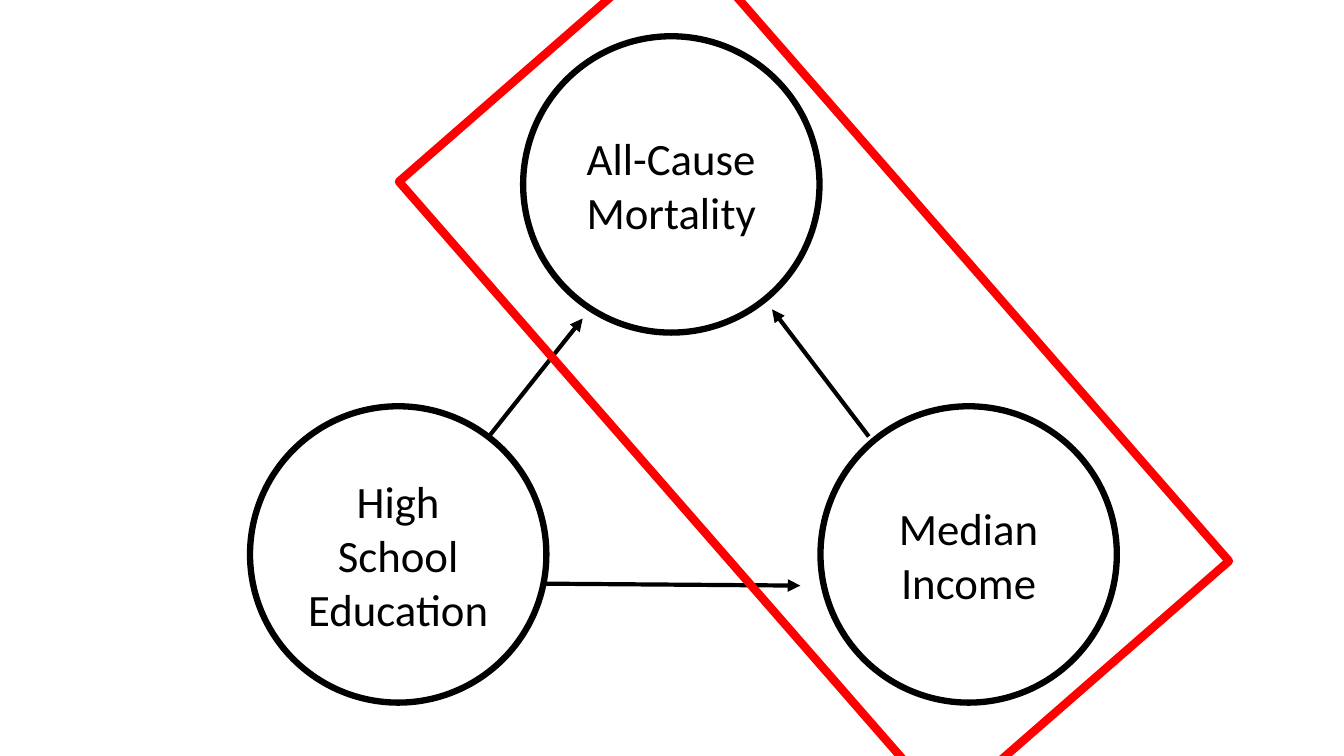
import pptx
import pptx.util
import pptx.dml.color
import pptx.enum.shapes
import pptx.enum.text
import pptx.oxml
import pptx.oxml.ns
from lxml import etree

Pt = pptx.util.Pt
BLACK = pptx.dml.color.RGBColor(0, 0, 0)
RED = pptx.dml.color.RGBColor(255, 0, 0)
KIND = pptx.enum.shapes.MSO_SHAPE
SIZE = 211.7
LOW = 290.2


def write(shape, text, size=32, font="Calibri", color=BLACK):
    frame = shape.text_frame
    frame.word_wrap = True
    frame.vertical_anchor = pptx.enum.text.MSO_ANCHOR.MIDDLE
    par = frame.paragraphs[0]
    par.alignment = pptx.enum.text.PP_ALIGN.CENTER
    run = par.add_run()
    run.text = text
    run.font.size = Pt(size)
    run.font.name = font
    run.font.color.rgb = color


class Sketch:
    """Draws outlined shapes, labels and arrows on one slide."""

    def __init__(self, slide):
        self.shapes = slide.shapes
        self.ring = 4.5
        self.stem = 3
        self.edge = 6

    def outline(self, kind, box, color, width):
        shape = self.shapes.add_shape(kind, *map(Pt, box))
        shape.shadow.inherit = False
        shape.fill.background()
        shape.line.color.rgb = color
        shape.line.width = Pt(width)
        return shape

    def circle(self, text, left, top):
        box = (left, top, SIZE, SIZE)
        write(self.outline(KIND.OVAL, box, BLACK, self.ring), text)

    def arrow(self, *ends):
        straight = pptx.enum.shapes.MSO_CONNECTOR.STRAIGHT
        link = self.shapes.add_connector(straight, *map(Pt, ends))
        link.line.color.rgb = BLACK
        link.line.width = Pt(self.stem)
        qn = pptx.oxml.ns.qn
        props = link.line._get_or_add_ln()
        etree.SubElement(props, qn("a:tailEnd"), type="triangle")
        etree.SubElement(link._element.spPr, qn("a:effectLst"))

    def frame(self, box, angle):
        shape = self.outline(KIND.RECTANGLE, box, RED, self.edge)
        shape.rotation = angle


def main():
    deck = pptx.Presentation()
    deck.slide_width, deck.slide_height = Pt(960), Pt(540)
    art = Sketch(deck.slides.add_slide(deck.slide_layouts[6]))
    art.circle("All-Cause Mortality", 373.7, 25.9)
    art.circle("Median Income", 586.1, LOW)
    art.circle("High School Education", 178.6, LOW)
    art.arrow(620.6, 311.8, 551.5, 221)
    art.arrow(349.2, 311.8, 416.2, 227.5)
    art.arrow(387.4, 416.9, 571.7, 418.3)
    art.frame((284.4, 131, 594, 268.6), 48.9)
    deck.save("out.pptx")


if __name__ == "__main__":
    main()
